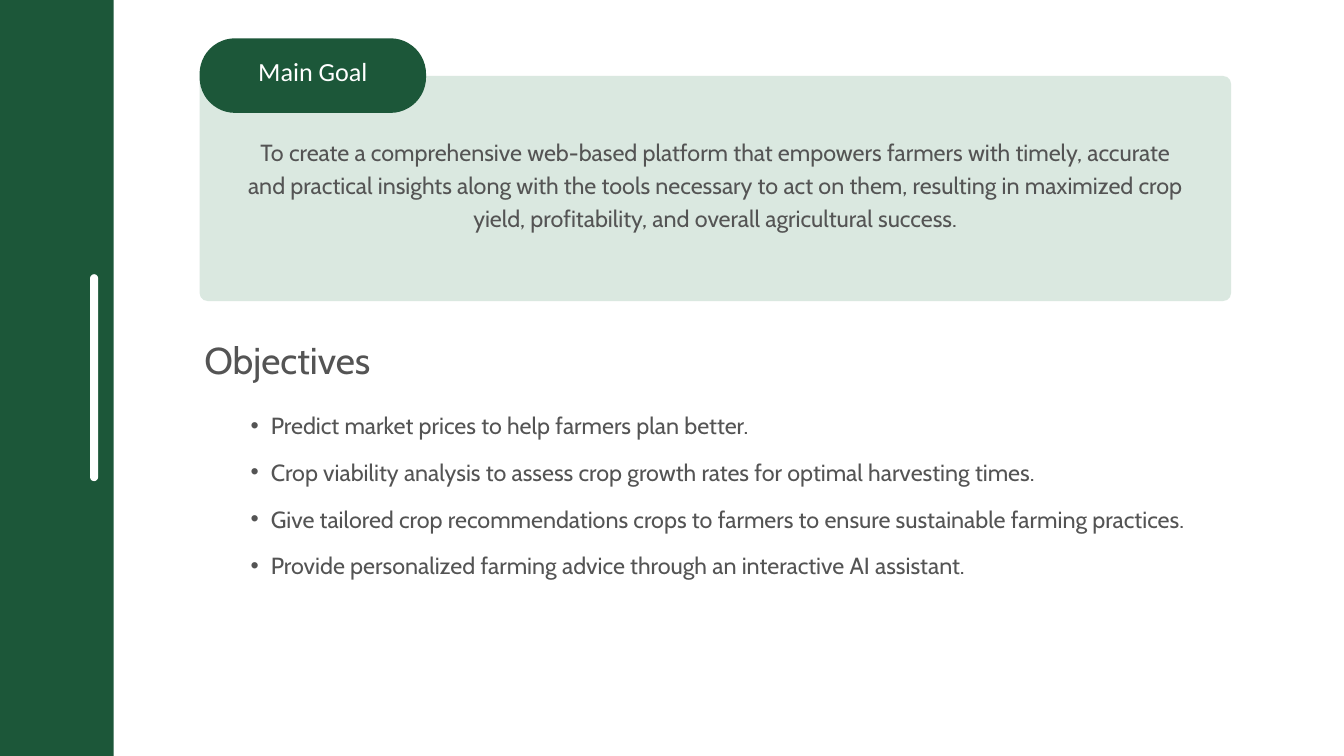
from lxml.etree import SubElement
from pptx import Presentation
from pptx.dml.color import RGBColor
from pptx.enum.shapes import MSO_SHAPE as Shape
from pptx.enum.text import MSO_ANCHOR as Anchor, MSO_AUTO_SIZE as AutoSize, PP_ALIGN as Align
from pptx.oxml.ns import qn
from pptx.util import Inches, Pt

GREEN = RGBColor(0x1C, 0x57, 0x39)
SAGE = RGBColor(0x86, 0xB4, 0x99)
GRAY = RGBColor(0x54, 0x54, 0x54)
WHITE = RGBColor(0xFF, 0xFF, 0xFF)

GOAL = (
    "To create a comprehensive web-based platform that empowers farmers with timely, "
    "accurate and practical insights along with the tools necessary to act on them, "
    "resulting in maximized crop yield, profitability, and overall agricultural success."
)
OBJECTIVES = [
    "Predict market prices to help farmers plan better.",
    "Crop viability analysis to assess crop growth rates for optimal harvesting times.",
    "Give tailored crop recommendations crops to farmers to ensure sustainable farming practices.",
    "Provide personalized farming advice through an interactive AI assistant.",
]


class SlideBuilder:
    font = "Cabin"
    color = GRAY

    def __init__(self, slide):
        self.slide = slide

    def panel(self, box, color, radius=0, opacity=100):
        kind = Shape.ROUNDED_RECTANGLE if radius else Shape.RECTANGLE
        panel = self.slide.shapes.add_shape(kind, *map(Inches, box))
        if radius:
            panel.adjustments[0] = radius / min(box[2:])
        panel.shadow.inherit = False
        panel.line.fill.background()
        panel.fill.solid()
        panel.fill.fore_color.rgb = color
        if opacity < 100:
            tint = panel.fill._xPr.find(".//" + qn("a:srgbClr"))
            SubElement(tint, qn("a:alpha"), val=str(opacity * 1000))
        return panel

    def fill_frame(self, frame, lines, size, spacing, align=Align.LEFT,
                   font=None, color=None, inset=0, bullets=False):
        frame.word_wrap = True
        frame.margin_left = frame.margin_right = Inches(inset)
        frame.margin_top = frame.margin_bottom = Inches(inset)
        for index, line in enumerate(lines):
            paragraph = frame.add_paragraph() if index else frame.paragraphs[0]
            if bullets:
                self.bullet(paragraph)
            paragraph.alignment = align
            paragraph.line_spacing = Pt(spacing)
            run = paragraph.add_run()
            run.text = line
            run.font.name = font or self.font
            run.font.size = Pt(size)
            run.font.color.rgb = color or self.color

    def bullet(self, paragraph):
        paragraph.level = 1
        properties = paragraph._p.get_or_add_pPr()
        properties.set("marL", str(Inches(0.59)))
        properties.set("indent", str(Inches(-0.3)))
        SubElement(properties, qn("a:buFont"), typeface="Arial")
        SubElement(properties, qn("a:buChar"), char="•")

    def text(self, box, lines, size, spacing, anchor=Anchor.TOP, grow=True, **style):
        frame = self.slide.shapes.add_textbox(*map(Inches, box)).text_frame
        frame.vertical_anchor = anchor
        self.fill_frame(frame, lines, size, spacing, **style)
        frame.auto_size = AutoSize.SHAPE_TO_FIT_TEXT if grow else AutoSize.NONE


def main():
    deck = Presentation()
    deck.slide_width, deck.slide_height = Inches(20), Inches(11.25)
    page = SlideBuilder(deck.slides.add_slide(deck.slide_layouts[6]))

    page.panel((0, 0, 1.69, 11.25), GREEN)
    page.panel((1.34, 4.08, 0.12, 3.08), WHITE, radius=0.06)

    page.panel((2.97, 1.13, 15.35, 3.35), SAGE, radius=0.12, opacity=30)
    page.panel((2.97, 0.57, 3.37, 1.11), GREEN, radius=0.53)
    page.text((2.97, 0.41, 3.37, 1.27), ["Main Goal"], 28, 36.4, anchor=Anchor.MIDDLE,
              grow=False, align=Align.CENTER, font="Calibri", color=WHITE, inset=0.06)
    page.text((3.6, 1.99, 14.08, 1.91), [GOAL], 25, 35, align=Align.CENTER)

    page.text((3.04, 4.9, 2.9, 0.72), ["Objectives"], 40, 56)
    page.text((3.44, 5.84, 14.88, 3.32), OBJECTIVES, 25, 50.1, bullets=True)

    deck.save("out.pptx")


if __name__ == "__main__":
    main()
